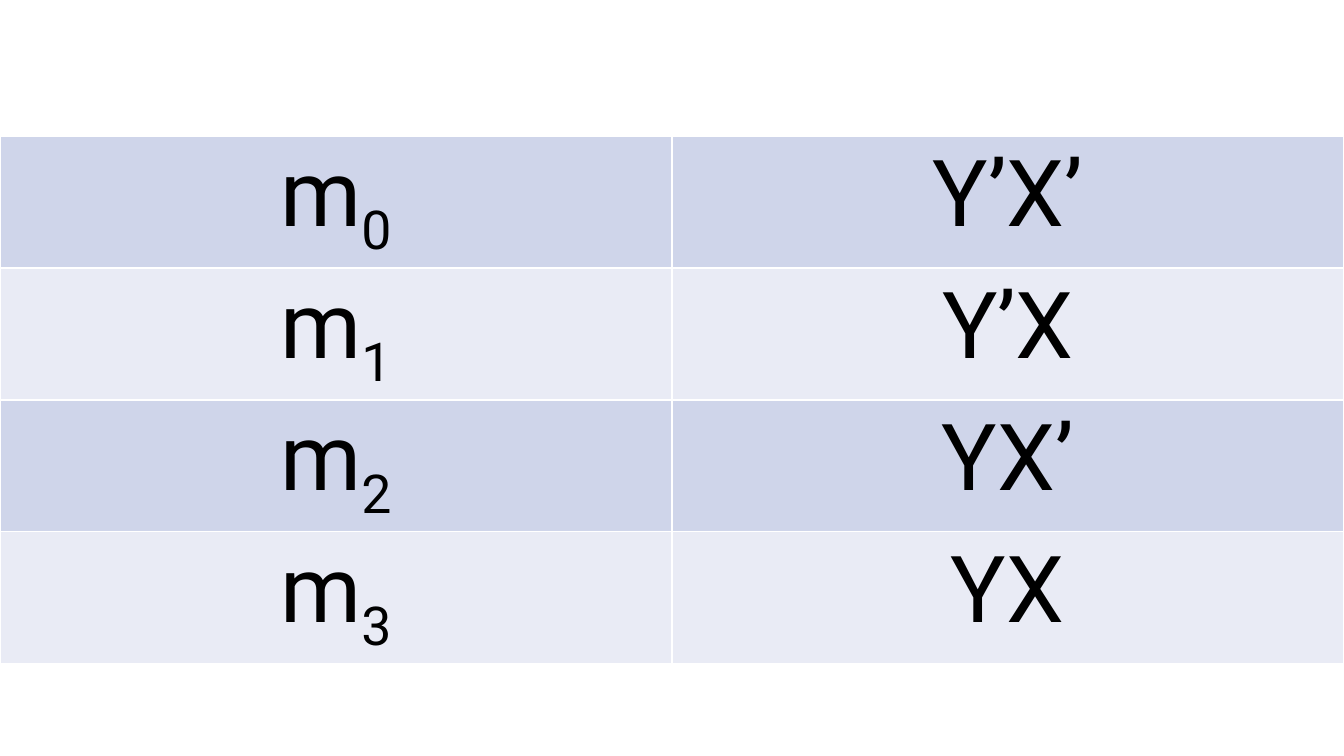
from lxml import etree
from pptx import Presentation
from pptx.dml.color import RGBColor
from pptx.enum.text import PP_ALIGN
from pptx.oxml.ns import qn
from pptx.util import Inches, Pt

CENTER = PP_ALIGN.CENTER
BLANK_LAYOUT = 6
FONT = "Roboto"
COLORS = {
    "text": "000000",
    "border": "FFFFFF",
    "odd_row": "CFD5EA",
    "even_row": "E9EBF5",
}
MINTERMS = ["Y’X’", "Y’X", "YX’", "YX"]


def set_borders(cell):
    properties = cell._tc.get_or_add_tcPr()
    for side in ("a:lnL", "a:lnR", "a:lnT", "a:lnB"):
        line = etree.SubElement(properties, qn(side), w=str(Pt(1)))
        fill = etree.SubElement(line, qn("a:solidFill"))
        etree.SubElement(fill, qn("a:srgbClr"), val=COLORS["border"])


def fill_cell(cell, text, band, subscript=""):
    set_borders(cell)
    cell.fill.solid()
    cell.fill.fore_color.rgb = RGBColor.from_string(COLORS[band])
    paragraph = cell.text_frame.paragraphs[0]
    paragraph.text = text
    paragraph.alignment = CENTER
    if subscript:
        index = paragraph.add_run()
        index.text = subscript
        index._r.get_or_add_rPr().set("baseline", "-25000")
    for run in paragraph.runs:
        run.font.name = FONT
        run.font.size = Pt(66)
        run.font.color.rgb = RGBColor.from_string(COLORS["text"])


def add_minterm_table(slide, left, top, width, height):
    frame = slide.shapes.add_table(
        len(MINTERMS), 2, Inches(left), Inches(top), Inches(width), Inches(height)
    )
    minterm_table = frame.table
    minterm_table.first_row = False
    for number, product in enumerate(MINTERMS):
        band = "even_row" if number % 2 else "odd_row"
        fill_cell(minterm_table.cell(number, 0), "m", band, str(number))
        fill_cell(minterm_table.cell(number, 1), product, band)


def main():
    deck = Presentation()
    deck.slide_width = Inches(13.33)
    deck.slide_height = Inches(7.5)
    slide = deck.slides.add_slide(deck.slide_layouts[BLANK_LAYOUT])
    add_minterm_table(slide, 0, 1.35, 13.33, 4.8)
    deck.save("out.pptx")


if __name__ == "__main__":
    main()
